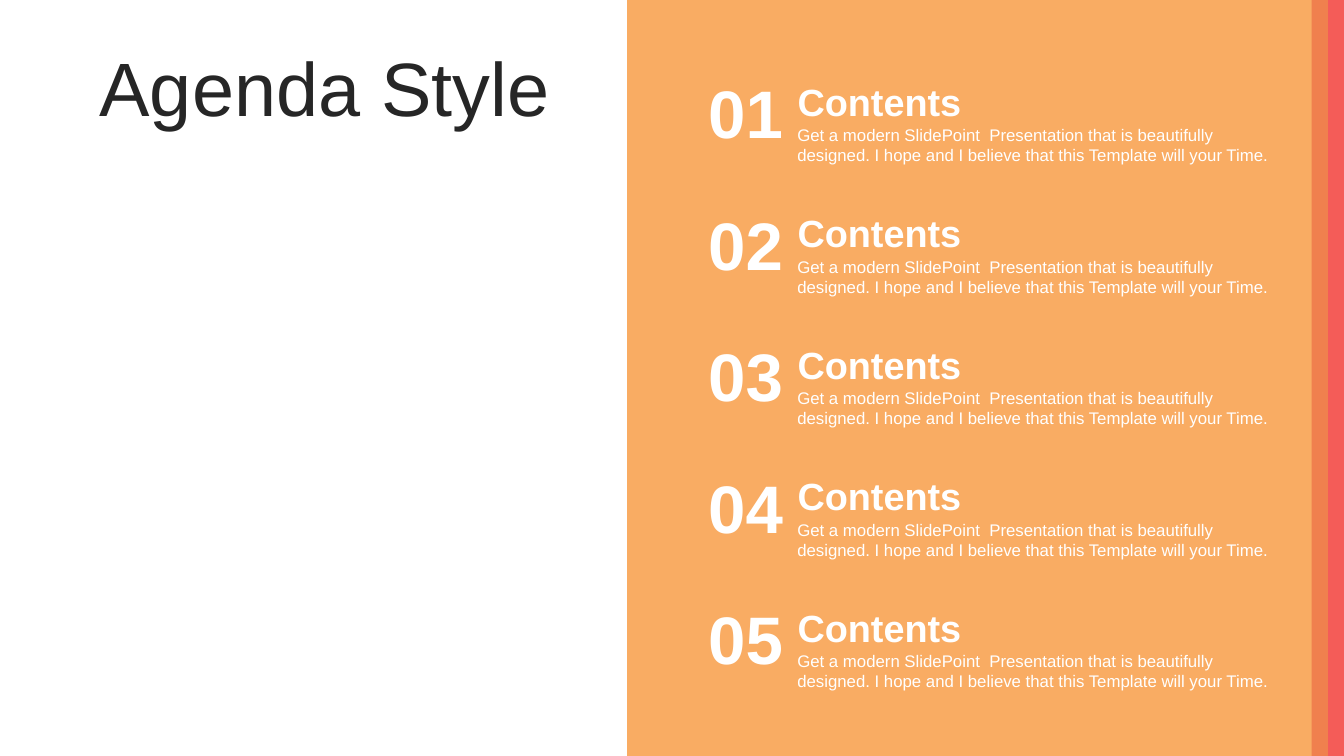
from lxml.etree import SubElement
from pptx import Presentation
from pptx.dml.color import RGBColor
from pptx.enum.shapes import MSO_SHAPE
from pptx.enum.text import MSO_ANCHOR, PP_ALIGN
from pptx.oxml.ns import qn
from pptx.util import Inches, Pt


def color(hex_code):
    return RGBColor.from_string(hex_code)


class AgendaSlide:
    """Draws the bands and text of the agenda in one shared style."""

    font = "Arial"
    white = "FFFFFF"

    def __init__(self, slide):
        self.slide = slide

    def band(self, left, width, fill, opacity=100):
        band = self.slide.shapes.add_shape(
            MSO_SHAPE.RECTANGLE, Inches(left), 0, Inches(width), Inches(7.5))
        band.shadow.inherit = False
        band.line.fill.background()
        band.fill.solid()
        band.fill.fore_color.rgb = color(fill)
        if opacity < 100:
            tint = band.fill._xPr.find(".//" + qn("a:srgbClr"))
            SubElement(tint, qn("a:alpha"), val=str(opacity * 1000))

    def text(self, words, left, top, width, height, size, hex_code=white,
             bold=False, inset=0.1, align=PP_ALIGN.LEFT, anchor=MSO_ANCHOR.TOP):
        box = self.slide.shapes.add_textbox(
            Inches(left), Inches(top), Inches(width), Inches(height))
        frame = box.text_frame
        frame.word_wrap = True
        frame.vertical_anchor = anchor
        frame.margin_left = frame.margin_right = Inches(inset)
        frame.text = words
        paragraph = frame.paragraphs[0]
        paragraph.alignment = align
        font = paragraph.runs[0].font
        font.name, font.size, font.bold = self.font, Pt(size), bold
        font.color.rgb = color(hex_code)

    def item(self, number, heading, description, top):
        self.text(description, 7.81, top + 0.53, 4.93, 0.5, 12)
        self.text(heading, 7.79, top + 0.07, 4.93, 0.56, 27, bold=True, inset=0.12)
        self.text(f"{number:02}", 6.87, top, 1.05, 0.91, 48, bold=True,
                  inset=0.12, align=PP_ALIGN.CENTER)


def main():
    presentation = Presentation()
    presentation.slide_width = Inches(13.33)
    presentation.slide_height = Inches(7.5)
    agenda = AgendaSlide(presentation.slides.add_slide(presentation.slide_layouts[6]))

    agenda.band(6.22, 7.11, "F89E48", opacity=85)
    agenda.text("Agenda Style", 0.89, 0.35, 6.77, 1.01, 54, "262626",
                anchor=MSO_ANCHOR.MIDDLE)

    description = ("Get a modern SlidePoint  Presentation that is beautifully designed. "
                   "I hope and I believe that this Template will your Time.")
    first_top, last_top, count = 0.66, 5.88, 5
    pitch = (last_top - first_top) / (count - 1)
    for index in range(count):
        agenda.item(index + 1, "Contents", description, first_top + index * pitch)

    agenda.band(13.17, 0.16, "F45C58")
    agenda.band(13.01, 0.16, "F0804E")
    presentation.save("out.pptx")


if __name__ == "__main__":
    main()
